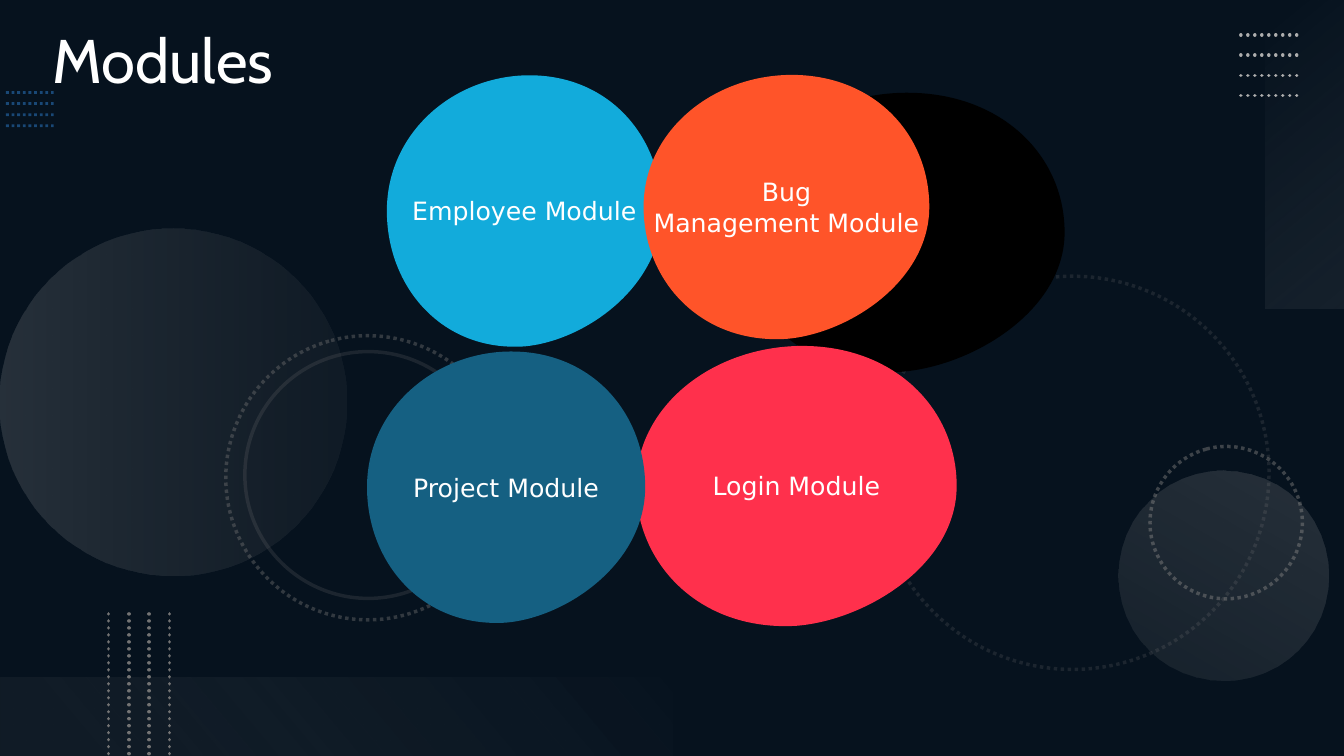
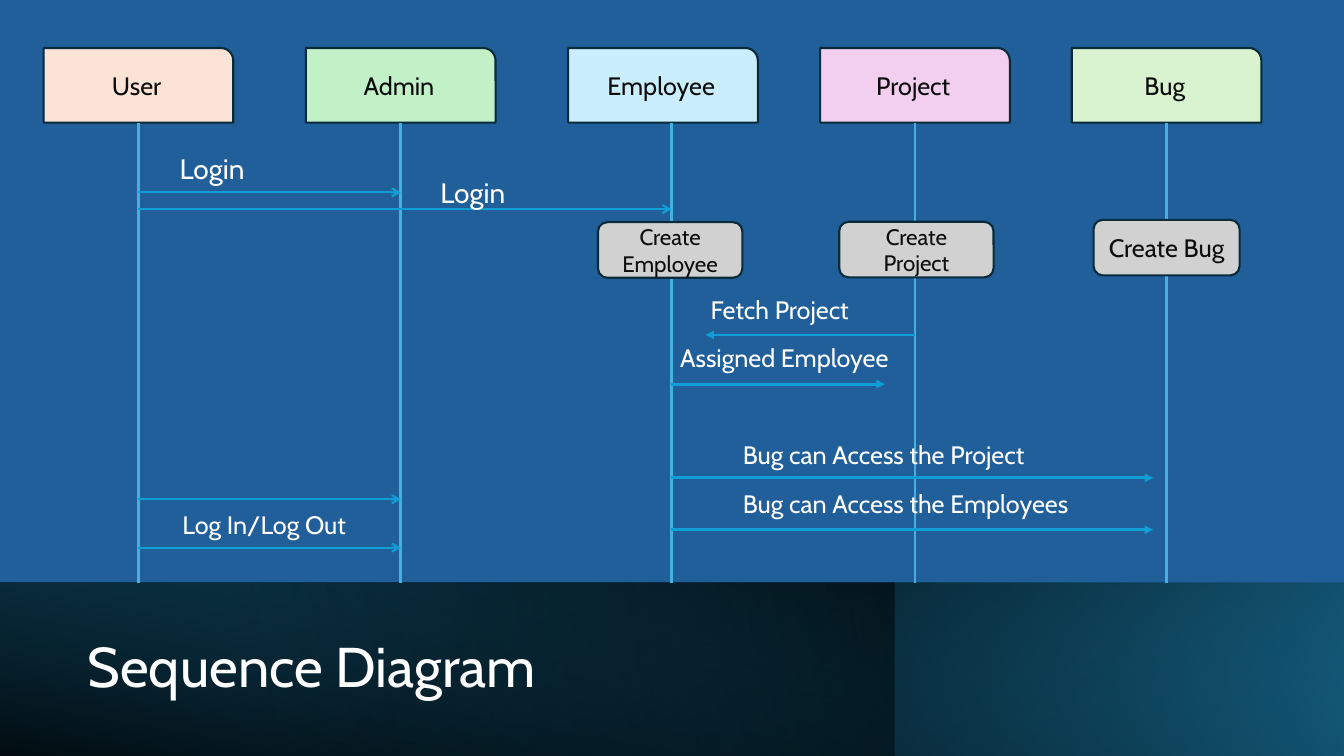
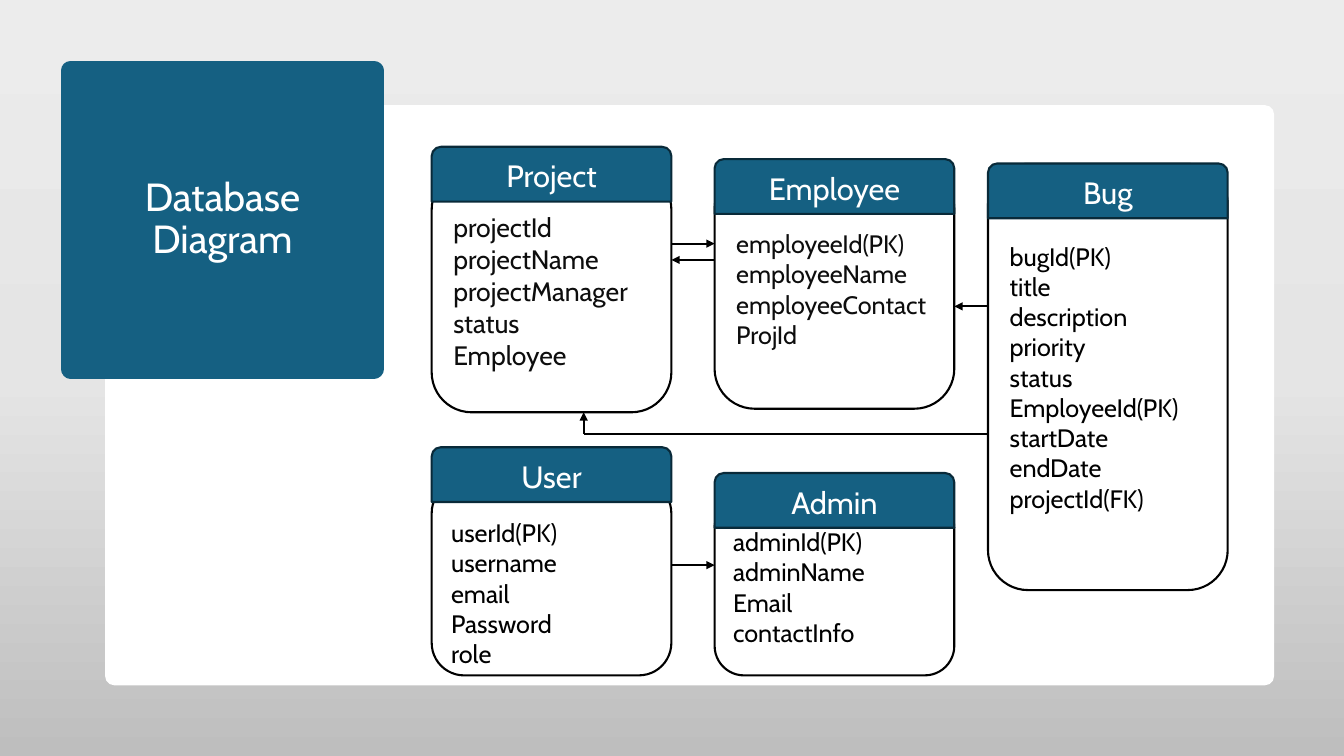
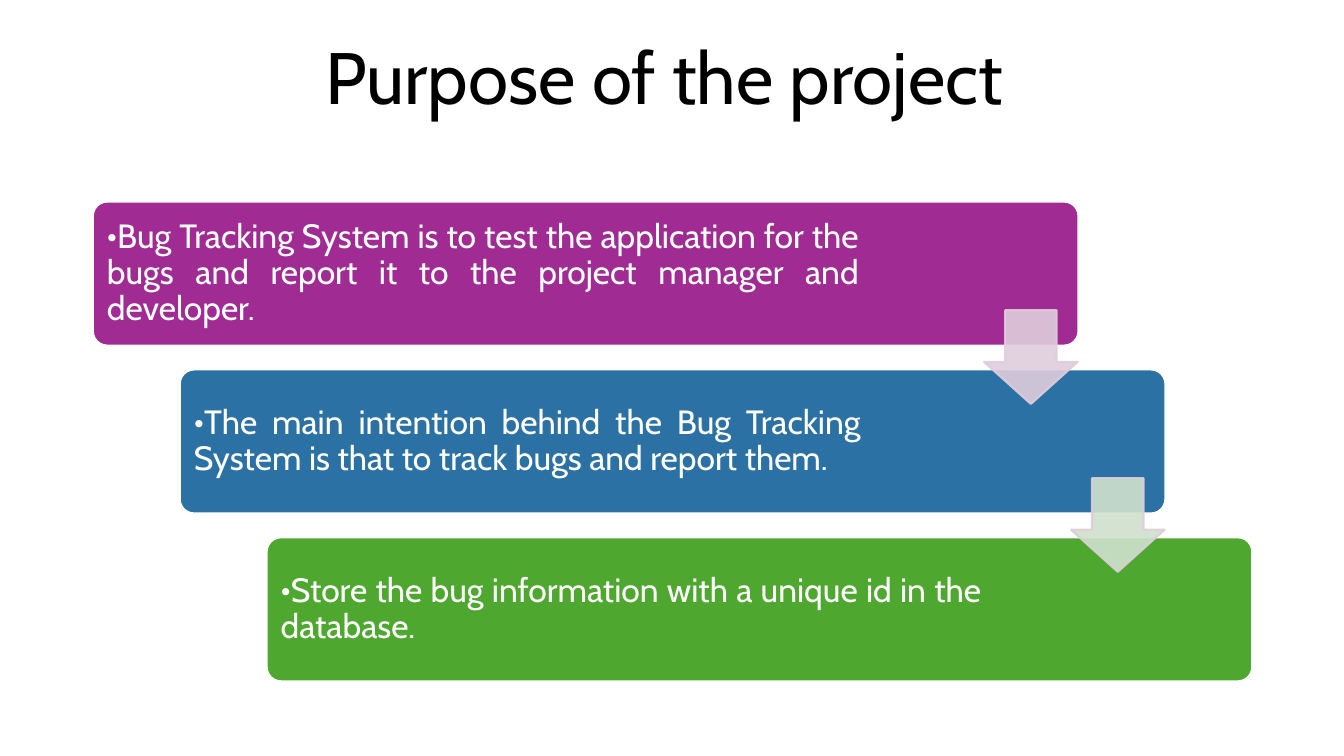
from dataclasses import dataclass
from typing import NamedTuple

from lxml.etree import SubElement
from pptx import Presentation
from pptx.dml.color import RGBColor
from pptx.enum.dml import MSO_LINE
from pptx.enum.shapes import MSO_CONNECTOR, MSO_SHAPE
from pptx.enum.text import MSO_ANCHOR, PP_ALIGN
from pptx.oxml.ns import qn
from pptx.util import Cm, Pt

SLIDE_WIDTH, SLIDE_HEIGHT = 33.87, 19.05
FONT = "Cabin"
COLORS = {
    "white": "FFFFFF", "black": "000000", "ink": "0D0D0D", "navy": "0E2841",
    "blue": "215F9A", "teal": "156082", "edge": "092A39", "deep_teal": "104862",
    "dot_blue": "2D7FCF", "gray": "747474", "silver": "AEAEAE", "smoke": "F1F1F1",
    "mist": "F6F6F6", "cyan": "12ABDB", "orange": "FF5429", "red": "FF304C",
    "peach": "FBE3D6", "mint": "C2F1C8", "sky": "CAEEFB", "pink": "F2CFEE",
    "lime": "D9F2D0", "lifeline": "46B1E1", "message": "0F9ED5", "action": "D1D1D1",
    "page_top": "ECECEC", "page_middle": "E5E5E5", "page_bottom": "BEBEBE",
    "purple": "A02B93", "steel": "2C71A4", "green": "4EA72E",
    "pale_purple": "DFCDDC", "pale_green": "D0E1CD",
}


class Box(NamedTuple):
    left: float
    top: float
    width: float
    height: float


class Stop(NamedTuple):
    position: int
    color: str
    opacity: int = 100


class Gradient(NamedTuple):
    angle: int
    stops: tuple[Stop, ...]


class Stroke(NamedTuple):
    color: str
    width: float
    opacity: int = 100
    dotted: bool = False
    head: str = ""
    cap: str = "flat"


class TextStyle(NamedTuple):
    size: float
    color: str = "white"
    align: PP_ALIGN = PP_ALIGN.LEFT
    anchor: MSO_ANCHOR = MSO_ANCHOR.MIDDLE
    spacing: float = 1.0
    font: str = FONT


@dataclass
class Ring:
    box: Box
    stroke: Stroke


@dataclass
class Glow:
    kind: MSO_SHAPE
    box: Box
    rotation: int
    gradient: Gradient


@dataclass
class DotRows:
    start: tuple[float, float]
    length: tuple[float, float]
    step: tuple[float, float]
    stroke: Stroke


@dataclass
class Module:
    lines: list[str]
    box: Box
    fill: str


@dataclass
class Participant:
    name: str
    left: float
    fill: str
    lifeline_offset: float = 0


@dataclass
class Action:
    name: str
    box: Box
    size: int


@dataclass
class Message:
    start: float
    end: float
    y: float
    stroke: Stroke


@dataclass
class Label:
    text: str
    left: float
    top: float
    size: int = 18


@dataclass
class Entity:
    name: str
    left: float
    header_top: float
    body_top: float
    body_height: float
    fields: list[str]
    size: int = 18
    ink: str = "black"
    margin_top: float = 0.13


@dataclass
class Relation:
    start: tuple[float, float]
    end: tuple[float, float]
    head: str = "triangle"


@dataclass
class Step:
    text: str
    fill: str
    margin_right: float
    arrow_fill: str = ""


def rgb(name: str) -> RGBColor:
    return RGBColor.from_string(COLORS[name])


def cm(box: Box) -> tuple:
    return tuple(Cm(value) for value in box)


def set_opacity(element, percent: int) -> None:
    if percent < 100:
        for color in element.iter(qn("a:srgbClr")):
            SubElement(color, qn("a:alpha"), val=str(percent * 1000))


def paint_gradient(fill, element, gradient: Gradient) -> None:
    fill.gradient()
    node = next(element.iter(qn("a:gradFill")))
    for child in list(node):
        node.remove(child)
    stops = SubElement(node, qn("a:gsLst"))
    for stop in gradient.stops:
        entry = SubElement(stops, qn("a:gs"), pos=str(stop.position * 1000))
        SubElement(entry, qn("a:srgbClr"), val=COLORS[stop.color])
        set_opacity(entry, stop.opacity)
    SubElement(node, qn("a:lin"), ang=str(gradient.angle * 60000), scaled="0")


def apply_stroke(item, stroke: Stroke) -> None:
    item.line.color.rgb = rgb(stroke.color)
    item.line.width = Pt(stroke.width)
    if stroke.dotted:
        item.line.dash_style = MSO_LINE.ROUND_DOT
    outline = item.element.spPr.find(qn("a:ln"))
    outline.set("cap", stroke.cap)
    set_opacity(outline, stroke.opacity)
    if stroke.head:
        SubElement(outline, qn("a:tailEnd"), type=stroke.head)


def paint(shape, fill: str | Gradient | None, stroke: Stroke | None) -> None:
    shape.shadow.inherit = False
    if isinstance(fill, Gradient):
        paint_gradient(shape.fill, shape.element.spPr, fill)
    elif fill:
        shape.fill.solid()
        shape.fill.fore_color.rgb = rgb(fill)
    else:
        shape.fill.background()
    if stroke:
        apply_stroke(shape, stroke)
    else:
        shape.line.fill.background()


def add_box(slide, kind: MSO_SHAPE, box: Box, fill: str | Gradient | None = None,
            stroke: Stroke | None = None):
    shape = slide.shapes.add_shape(kind, *cm(box))
    paint(shape, fill, stroke)
    return shape


def add_line(slide, start: tuple[float, float], end: tuple[float, float], stroke: Stroke):
    line = slide.shapes.add_connector(
        MSO_CONNECTOR.STRAIGHT, *(Cm(value) for value in (*start, *end)))
    apply_stroke(line, stroke)
    SubElement(line.element.spPr, qn("a:effectLst"))
    return line


def write(shape, lines: list[str], style: TextStyle) -> None:
    frame = shape.text_frame
    frame.text = "\n".join(lines)
    frame.word_wrap = True
    frame.vertical_anchor = style.anchor
    for paragraph in frame.paragraphs:
        paragraph.alignment = style.align
        paragraph.line_spacing = style.spacing
        for run in paragraph.runs:
            run.font.name = style.font
            run.font.size = Pt(style.size)
            run.font.color.rgb = rgb(style.color)


def add_text(slide, box: Box, text: str, style: TextStyle) -> None:
    write(slide.shapes.add_textbox(*cm(box)), [text], style)


def new_slide(deck, background: str | Gradient):
    slide = deck.slides.add_slide(deck.slide_layouts[6])
    fill = slide.background.fill
    if isinstance(background, Gradient):
        paint_gradient(fill, slide.element, background)
    else:
        fill.solid()
        fill.fore_color.rgb = rgb(background)
    return slide


BLOB_START = (0, 0.5)
BLOB_CURVES = (
    ((0, 0.22), (0.23, 0.01), (0.5, 0)),
    ((0.8, -0.01), (1, 0.22), (1, 0.5)),
    ((1, 0.78), (0.72, 0.98), (0.5, 1)),
    ((0.2, 1.02), (0, 0.78), (0, 0.5)),
)


def add_blob(slide, box: Box, fill: str):
    left, top, width, height = cm(box)
    first, *anchors = [(int(left + x * width), int(top + y * height))
                       for x, y in (BLOB_START, *(curve[-1] for curve in BLOB_CURVES))]
    builder = slide.shapes.build_freeform(*first)
    builder.add_line_segments(anchors, close=True)
    blob = builder.convert_to_shape()
    segments = list(blob.element.spPr.iter(qn("a:lnTo")))
    for segment, curve in zip(segments, BLOB_CURVES):
        for child in list(segment):
            segment.remove(child)
        bend = SubElement(segment.getparent(), qn("a:cubicBezTo"))
        for x, y in curve:
            SubElement(bend, qn("a:pt"), x=str(int(x * width)), y=str(int(y * height)))
        segment.getparent().replace(segment, bend)
    paint(blob, fill, None)
    return blob


RINGS = [
    Ring(Box(22.07, 6.96, 9.91, 9.91), Stroke("gray", 2.5, 20, True)),
    Ring(Box(28.98, 11.25, 3.84, 3.84), Stroke("gray", 2.5, 50, True)),
    Ring(Box(5.69, 8.46, 7.16, 7.16), Stroke("gray", 2.5, 40, True)),
    Ring(Box(6.17, 8.86, 6.22, 6.22), Stroke("gray", 2.5, 20)),
]
GLOWS = [
    Glow(MSO_SHAPE.OVAL, Box(0, 5.77, 8.74, 8.74), 270,
         Gradient(90, (Stop(0, "silver", 20), Stop(100, "gray", 10)))),
    Glow(MSO_SHAPE.OVAL, Box(28.19, 11.86, 5.28, 5.28), 210,
         Gradient(90, (Stop(0, "silver", 10), Stop(100, "silver", 20)))),
    Glow(MSO_SHAPE.RECTANGLE, Box(29.01, 2.9, 7.77, 1.98), 270,
         Gradient(140, (Stop(0, "mist", 0), Stop(100, "silver", 10)))),
    Glow(MSO_SHAPE.RECTANGLE, Box(0, 17.07, 16.94, 1.98), 180,
         Gradient(140, (Stop(10, "gray", 10), Stop(100, "smoke", 0)))),
]
DOT_ROWS = [
    DotRows((0.15, 2.33), (1.2, 0), (0, 0.28), Stroke("dot_blue", 2, 50, True)),
    DotRows((31.27, 0.88), (1.52, 0), (0, 0.51),
            Stroke("silver", 2.5, dotted=True, cap="rnd")),
    DotRows((2.74, 15.47), (0, 3.58), (0.51, 0),
            Stroke("gray", 2.5, dotted=True, cap="rnd")),
]
MODULES = [
    Module(["Login Module"], Box(16.03, 8.72, 8.08, 7.05), "red"),
    Module(["Employee Module"], Box(9.75, 1.9, 6.93, 6.83), "cyan"),
    Module(["Project Module"], Box(9.25, 8.86, 7.01, 6.83), "teal"),
    Module(["Bug", "Management Module"], Box(16.22, 1.89, 7.2, 6.65), "orange"),
]


def build_modules(deck) -> None:
    slide = new_slide(deck, "navy")
    veil = add_box(slide, MSO_SHAPE.RECTANGLE, Box(0, 0, SLIDE_WIDTH, SLIDE_HEIGHT), "black")
    set_opacity(veil.element.spPr, 53)
    for ring in RINGS:
        add_box(slide, MSO_SHAPE.OVAL, ring.box, None, ring.stroke).rotation = 75
    for glow in GLOWS:
        add_box(slide, glow.kind, glow.box, glow.gradient).rotation = glow.rotation
    for rows in DOT_ROWS:
        for index in range(4):
            x, y = (origin + index * step for origin, step in zip(rows.start, rows.step))
            add_line(slide, (x, y), (x + rows.length[0], y + rows.length[1]), rows.stroke)
    add_blob(slide, Box(18.58, 2.34, 8.25, 7.03), "black")
    add_text(slide, Box(1.07, 0.43, 24.33, 2.13), "Modules",
             TextStyle(44, anchor=MSO_ANCHOR.TOP))
    for module in MODULES:
        blob = add_blob(slide, module.box, module.fill)
        write(blob, module.lines, TextStyle(18, align=PP_ALIGN.CENTER, font="DejaVu Sans"))
        blob.text_frame.margin_left = blob.text_frame.margin_right = Cm(0.1)


EDGE = Stroke("edge", 1.5)
BAND_TOP, BAND_HEIGHT = 14.68, 4.42
HEADER_TOP, HEADER_WIDTH, HEADER_HEIGHT = 1.21, 4.78, 1.88
USER_X, ADMIN_X, EMPLOYEE_X, PROJECT_X, BUG_X = 3.49, 10.1, 16.92, 23.06, 29.06
CALL = Stroke("message", 1.5, head="arrow")
ACCESS = Stroke("message", 2, head="triangle")
BANDS = [
    (SLIDE_WIDTH, Gradient(140, (Stop(34, "black", 96), Stop(100, "teal")))),
    (22.55, Gradient(190, (Stop(28, "deep_teal", 59), Stop(100, "black", 70)))),
    (SLIDE_WIDTH, Gradient(260, (Stop(0, "black", 72), Stop(100, "teal", 0)))),
]
PARTICIPANTS = [
    Participant("User", 1.1, "peach"),
    Participant("Admin", 7.71, "mint"),
    Participant("Employee", 14.32, "sky", 0.21),
    Participant("Project", 20.67, "pink"),
    Participant("Bug", 27.01, "lime"),
]
ACTIONS = [
    Action("Create Bug", Box(27.56, 5.54, 3.68, 1.4), 18),
    Action("Create Project", Box(21.15, 5.59, 3.89, 1.4), 16),
    Action("Create Employee", Box(15.07, 5.6, 3.64, 1.4), 16),
]
MESSAGES = [
    Message(USER_X, ADMIN_X, 4.85, CALL),
    Message(USER_X, EMPLOYEE_X, 5.27, CALL),
    Message(PROJECT_X, 17.78, 8.44, ACCESS),
    Message(EMPLOYEE_X, 22.3, 9.68, ACCESS),
    Message(EMPLOYEE_X, BUG_X, 12.04, ACCESS),
    Message(EMPLOYEE_X, BUG_X, 13.35, ACCESS),
    Message(USER_X, ADMIN_X, 12.58, CALL),
    Message(USER_X, ADMIN_X, 13.8, CALL),
]
LABELS = [
    Label("Login", 4.28, 3.7, 20),
    Label("Login", 10.85, 4.29, 20),
    Label("Log In/Log Out", 4.35, 12.7),
    Label("Fetch Project", 17.66, 7.29),
    Label("Assigned Employee", 16.89, 8.51),
    Label("Bug can Access the Project", 18.47, 10.95),
    Label("Bug can Access the Employees", 18.47, 12.17),
]


def build_sequence(deck) -> None:
    slide = new_slide(deck, "blue")
    for width, gradient in BANDS:
        band = add_box(slide, MSO_SHAPE.RECTANGLE, Box(0, BAND_TOP, width, BAND_HEIGHT), gradient)
        band.element.spPr.find(qn("a:xfrm")).set("flipH", "1")
    add_text(slide, Box(1.96, 15.25, 19.33, 3.23), "Sequence Diagram",
             TextStyle(40, spacing=0.9))
    for participant in PARTICIPANTS:
        header = add_box(slide, MSO_SHAPE.ROUND_1_RECTANGLE,
                         Box(participant.left, HEADER_TOP, HEADER_WIDTH, HEADER_HEIGHT),
                         participant.fill, EDGE)
        write(header, [participant.name], TextStyle(18, "ink", PP_ALIGN.CENTER))
        x = participant.left + HEADER_WIDTH / 2 + participant.lifeline_offset
        lifeline = add_line(slide, (x, HEADER_TOP + HEADER_HEIGHT), (x, BAND_TOP),
                            Stroke("lifeline", 2))
        if not participant.lifeline_offset:
            lifeline.begin_connect(header, 2)
    for action in ACTIONS:
        card = add_box(slide, MSO_SHAPE.ROUNDED_RECTANGLE, action.box, "action", EDGE)
        write(card, [action.name], TextStyle(action.size, "ink", PP_ALIGN.CENTER))
    for message in MESSAGES:
        add_line(slide, (message.start, message.y), (message.end, message.y), message.stroke)
    for label in LABELS:
        width = min(16.94, SLIDE_WIDTH - label.left)
        add_text(slide, Box(label.left, label.top, width, label.size * 0.056), label.text,
                 TextStyle(label.size, anchor=MSO_ANCHOR.TOP))


PAGE = Gradient(90, (Stop(0, "page_top"), Stop(50, "page_middle"), Stop(100, "page_bottom")))
ENTITY_WIDTH, ENTITY_HEADER = 6.04, 1.38
COLUMNS = (10.88, 18.01, 24.9)
ENTITIES = [
    Entity("Project", COLUMNS[0], 3.7, 4.27, 6.12,
           ["projectId", "projectName", "projectManager", "status", "Employee"], 19, "ink"),
    Entity("Employee", COLUMNS[1], 4.01, 4.26, 6.04,
           ["employeeId(PK)", "employeeName", "employeeContact", "ProjId"], ink="ink"),
    Entity("Bug", COLUMNS[2], 4.12, 4.13, 10.74,
           ["bugId(PK)", "title", "description", "priority", "status", "EmployeeId(PK)",
            "startDate", "endDate", "projectId(FK)"]),
    Entity("Admin", COLUMNS[1], 11.92, 12.56, 4.46,
           ["adminId(PK)", "adminName", "Email", "contactInfo"]),
    Entity("User", COLUMNS[0], 11.27, 12.11, 4.91,
           ["userId(PK)", "username", "email", "Password", "role"], margin_top=0.88),
]
PROJECT_RIGHT = COLUMNS[0] + ENTITY_WIDTH
RELATIONS = [
    Relation((COLUMNS[2], 10.93), (14.71, 10.93), ""),
    Relation((14.71, 10.93), (14.71, 10.39)),
    Relation((PROJECT_RIGHT, 6.14), (COLUMNS[1], 6.14)),
    Relation((COLUMNS[1], 6.55), (PROJECT_RIGHT, 6.55)),
    Relation((COLUMNS[2], 7.72), (COLUMNS[1] + ENTITY_WIDTH, 7.72)),
    Relation((PROJECT_RIGHT, 14.24), (COLUMNS[1], 14.24)),
]


def build_database(deck) -> None:
    slide = new_slide(deck, PAGE)
    panel = add_box(slide, MSO_SHAPE.ROUNDED_RECTANGLE, Box(2.65, 2.65, 29.46, 14.62), "white")
    panel.adjustments[0] = 0.016
    title = add_box(slide, MSO_SHAPE.RECTANGLE, Box(1.78, 1.78, 7.65, 7.52), "teal",
                    Stroke("teal", 13.75))
    SubElement(title.element.spPr.find(qn("a:ln")), qn("a:round"))
    write(title, ["Database Diagram"], TextStyle(28, align=PP_ALIGN.CENTER, spacing=0.9))
    for entity in ENTITIES:
        body = add_box(slide, MSO_SHAPE.ROUNDED_RECTANGLE,
                       Box(entity.left, entity.body_top, ENTITY_WIDTH, entity.body_height),
                       "white", Stroke("black", 1.5))
        write(body, entity.fields, TextStyle(entity.size, entity.ink))
        body.text_frame.margin_top = Cm(entity.margin_top)
        header = add_box(slide, MSO_SHAPE.ROUND_2_SAME_RECTANGLE,
                         Box(entity.left, entity.header_top, ENTITY_WIDTH, ENTITY_HEADER),
                         "teal", EDGE)
        write(header, [entity.name], TextStyle(22, align=PP_ALIGN.CENTER))
    for relation in RELATIONS:
        add_line(slide, relation.start, relation.end, Stroke("black", 1.5, head=relation.head))


STEP_X, STEP_Y = 2.19, 4.23
STEPS = [
    Step("Bug Tracking System is to test the application for the bugs and report it to the "
         "project manager and developer.", "purple", 5.43, "pale_purple"),
    Step("The main intention behind the Bug Tracking System is that to track bugs and report "
         "them.", "steel", 7.57, "pale_green"),
    Step("Store the bug information with a unique id in the database.", "green", 6.72),
]


def build_purpose(deck) -> None:
    slide = new_slide(deck, "white")
    add_text(slide, Box(2.13, 0.46, 29.21, 3.15), "Purpose of the project",
             TextStyle(52, "black", PP_ALIGN.CENTER, spacing=0.9))
    for index, step in enumerate(STEPS):
        card = add_box(slide, MSO_SHAPE.ROUNDED_RECTANGLE,
                       Box(2.34 + index * STEP_X, 5.08 + index * STEP_Y, 24.84, 3.63),
                       step.fill, Stroke("white", 1.5))
        card.adjustments[0] = 0.1
        write(card, [step.text], TextStyle(24, align=PP_ALIGN.JUSTIFY, spacing=0.9))
        card.text_frame.margin_right = Cm(step.margin_right)
        properties = card.text_frame.paragraphs[0]._p.get_or_add_pPr()
        properties.set("marL", "0")
        properties.set("indent", "0")
        SubElement(properties, qn("a:buFont"), typeface=FONT)
        SubElement(properties, qn("a:buChar"), char="•")
    for index, step in enumerate(STEPS):
        if step.arrow_fill:
            arrow = add_box(slide, MSO_SHAPE.DOWN_ARROW,
                            Box(24.8 + index * STEP_X, 7.82 + index * STEP_Y, 2.36, 2.36),
                            step.arrow_fill, Stroke("pale_purple", 1.5))
            arrow.adjustments[0], arrow.adjustments[1] = 0.55, 0.45
            set_opacity(arrow.element.spPr, 90)


def main() -> None:
    deck = Presentation()
    deck.slide_width, deck.slide_height = Cm(SLIDE_WIDTH), Cm(SLIDE_HEIGHT)
    for build in (build_modules, build_sequence, build_database, build_purpose):
        build(deck)
    deck.save("out.pptx")


if __name__ == "__main__":
    main()
